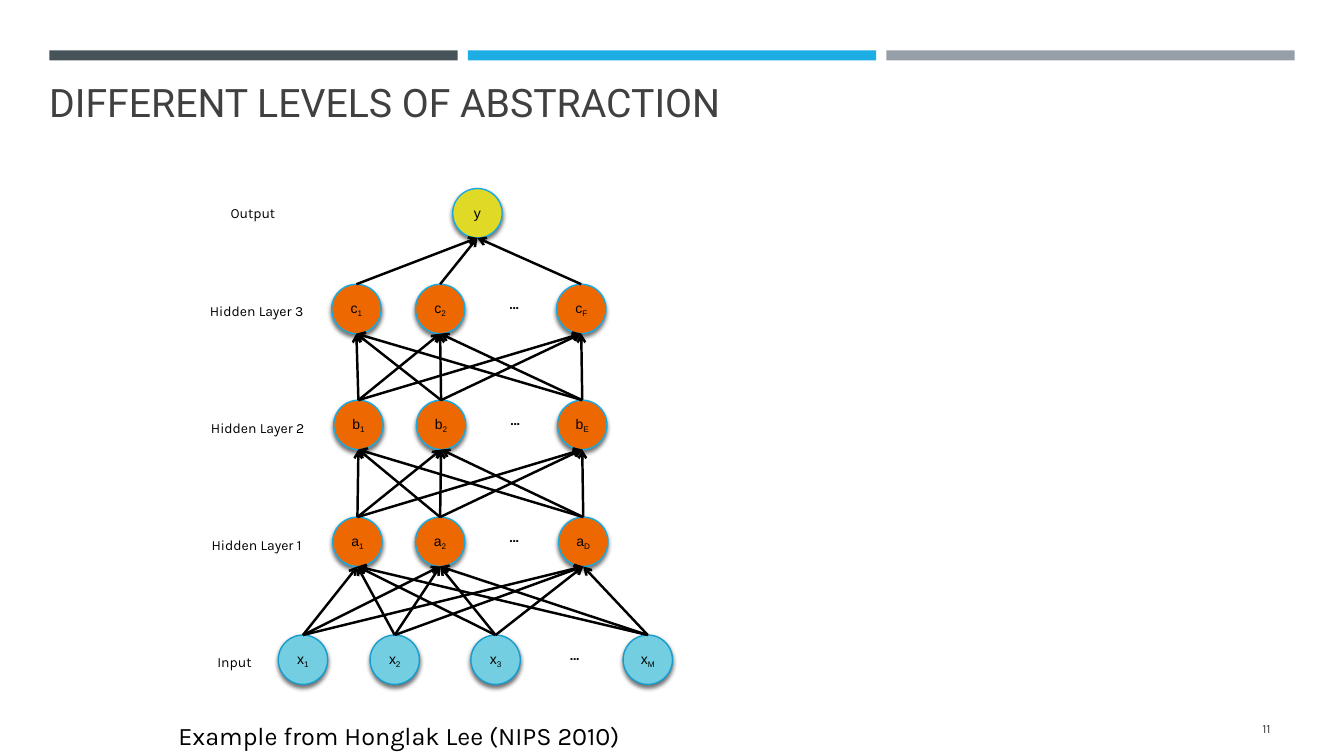
"""Build a slide showing a layered neural network with rising levels of abstraction."""
from dataclasses import dataclass

import pptx
import pptx.dml.color
import pptx.enum.shapes
import pptx.enum.text
import pptx.oxml
import pptx.util
from pptx.util import Inches


@dataclass(frozen=True)
class Theme:
    ink: str = "000000"
    heading: str = "404040"
    bars: tuple = ("465359", "1CADE4", "969FA7")
    input_fill: str = "72CEE0"
    input_line: str = "189CCE"
    hidden_fill: str = "EE6802"
    output_fill: str = "E0D925"
    node_line: str = "16ABE4"
    title_font: str = "Roboto"
    body_font: str = "Karla"
    node_font: str = "Arial"
    title_size: int = 28
    caption_size: int = 18
    label_size: int = 10
    number_size: int = 9


theme = Theme()
rgb = pptx.dml.color.RGBColor.from_string
shape_kind = pptx.enum.shapes.MSO_SHAPE
align = pptx.enum.text.PP_ALIGN
anchor = pptx.enum.text.MSO_ANCHOR
drawing_ns = 'xmlns:a="http://schemas.openxmlformats.org/drawingml/2006/main"'
node_shadow = (
    f'<a:effectLst {drawing_ns}><a:outerShdw blurRad="38100" dist="25400" dir="5400000" '
    'rotWithShape="0"><a:srgbClr val="000000"><a:alpha val="55000"/></a:srgbClr>'
    '</a:outerShdw></a:effectLst>'
)

deck = pptx.Presentation()
deck.slide_width = Inches(13.33)
deck.slide_height = Inches(7.5)
slide = deck.slides.add_slide(deck.slide_layouts[6])


def add_run(paragraph, text, size, font, color=theme.ink, bold=False):
    run = paragraph.add_run()
    run.text = text
    run.font.size = pptx.util.Pt(size)
    run.font.name = font
    run.font.bold = bold
    run.font.color.rgb = rgb(color)
    return run


def add_text(box, text, size, font=theme.body_font, color=theme.ink,
             alignment=align.LEFT, vertical=anchor.TOP, bold=False):
    frame = slide.shapes.add_textbox(*map(Inches, box)).text_frame
    frame.word_wrap = True
    frame.vertical_anchor = vertical
    frame.paragraphs[0].alignment = alignment
    add_run(frame.paragraphs[0], text, size, font, color, bold)


for position, color in enumerate(theme.bars):
    bar = slide.shapes.add_shape(shape_kind.RECTANGLE, Inches(0.49 + 4.15 * position),
                                 Inches(0.5), Inches(4.05), Inches(0.1))
    bar.shadow.inherit = False
    bar.fill.solid()
    bar.fill.fore_color.rgb = rgb(color)
    bar.line.fill.background()

add_text((0.39, -0.01, 12.06, 1.3), "DIFFERENT LEVELS OF ABSTRACTION", theme.title_size,
         theme.title_font, theme.heading, vertical=anchor.BOTTOM)
add_text((1.67, 7.1, 5.08, 0.4), "Example from Honglak Lee (NIPS 2010)", theme.caption_size)

diameter = 0.49
hidden = (theme.hidden_fill, theme.node_line)
layers = [
    (1.87, "y", [("", 4.49)], None, (theme.output_fill, theme.node_line)),
    (2.82, "c", [("1", 3.29), ("2", 4.12), ("F", 5.52)], 4.94, hidden),
    (3.97, "b", [("1", 3.31), ("2", 4.13), ("E", 5.53)], 4.95, hidden),
    (5.13, "a", [("1", 3.3), ("2", 4.12), ("D", 5.54)], 4.94, hidden),
    (6.3, "x", [("1", 2.76), ("2", 3.67), ("3", 4.67), ("M", 6.18)], 5.54,
     (theme.input_fill, theme.input_line)),
]

for top, letter, units, ellipsis_left, (fill, outline) in layers:
    for subscript, left in units:
        node = slide.shapes.add_shape(shape_kind.FLOWCHART_CONNECTOR, Inches(left),
                                      Inches(top), Inches(diameter), Inches(diameter))
        node.fill.solid()
        node.fill.fore_color.rgb = rgb(fill)
        node.line.color.rgb = rgb(outline)
        node.line.width = pptx.util.Pt(1)
        node._element.spPr.append(pptx.oxml.parse_xml(node_shadow))
        frame = node.text_frame
        frame.margin_left = frame.margin_right = frame.margin_top = frame.margin_bottom = 0
        frame.vertical_anchor = anchor.MIDDLE
        symbol = frame.paragraphs[0]
        symbol.alignment = align.CENTER
        add_run(symbol, letter, theme.label_size, theme.node_font)
        if subscript:
            index = add_run(symbol, subscript, theme.label_size, theme.node_font)
            index.font._element.set("baseline", "-25000")
    if ellipsis_left:
        add_text((ellipsis_left, top + 0.06, 0.32, 0.27), "…", theme.label_size,
                 alignment=align.CENTER, vertical=anchor.MIDDLE, bold=True)

for upper, lower in zip(layers, layers[1:]):
    for _, target_left in upper[2]:
        for _, source_left in lower[2]:
            link = slide.shapes.add_connector(
                pptx.enum.shapes.MSO_CONNECTOR.STRAIGHT,
                Inches(target_left + diameter / 2), Inches(upper[0] + diameter),
                Inches(source_left + diameter / 2), Inches(lower[0]))
            link.line.color.rgb = rgb(theme.ink)
            link.line.width = pptx.util.Pt(1.75)
            link.line._get_or_add_ln().append(
                pptx.oxml.parse_xml(f'<a:headEnd {drawing_ns} type="arrow"/>'))
            link._element.spPr.append(pptx.oxml.parse_xml(f"<a:effectLst {drawing_ns}/>"))

layer_labels = [
    ("Output", 2.19, 1.98, 0.77, align.LEFT),
    ("Hidden Layer 3", 1.93, 2.95, 1.23, align.CENTER),
    ("Hidden Layer 2", 1.94, 4.11, 1.23, align.CENTER),
    ("Hidden Layer 1", 1.93, 5.27, 1.23, align.CENTER),
    ("Input", 1.94, 6.43, 0.77, align.CENTER),
]
for label, left, top, width, alignment in layer_labels:
    add_text((left, top, width, 0.27), label, theme.label_size, alignment=alignment)

add_text((11.55, 7.03, 1.15, 0.4), "11", theme.number_size, color=theme.heading,
         alignment=align.RIGHT, vertical=anchor.MIDDLE)

deck.save("out.pptx")
